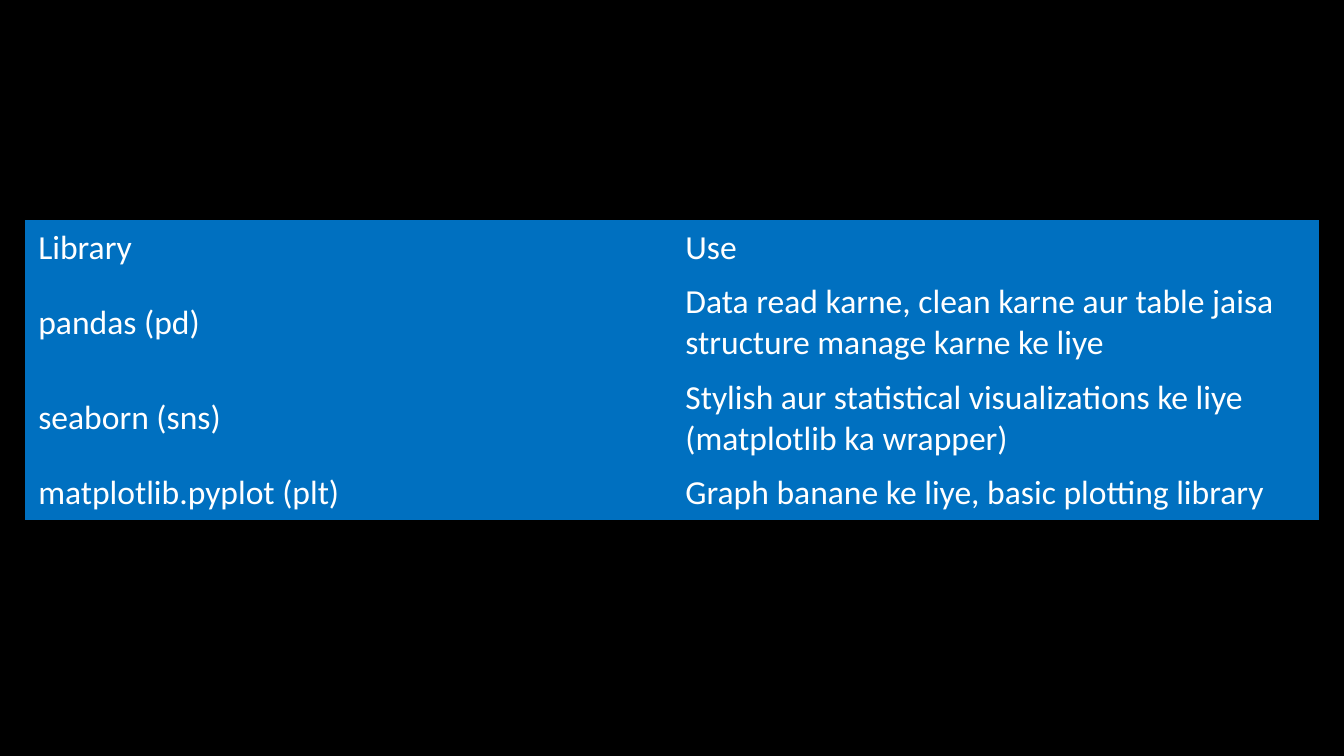
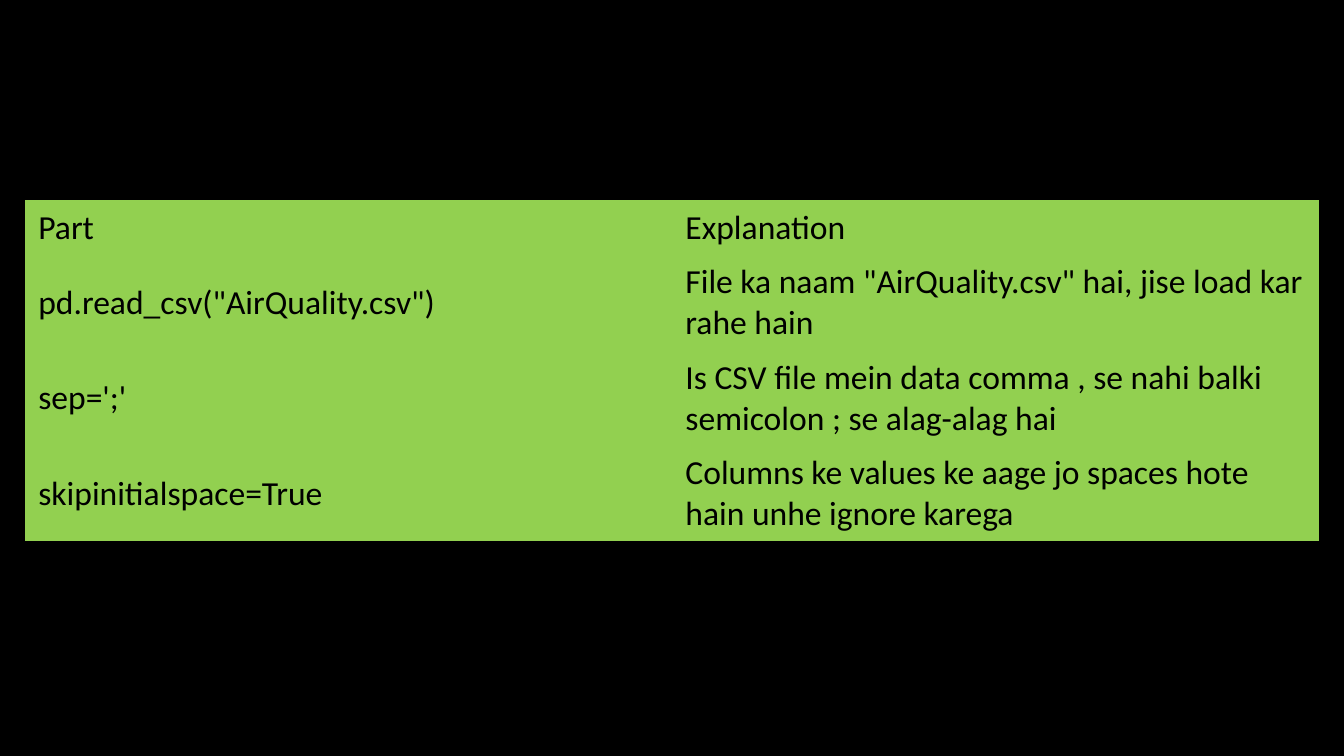
from dataclasses import dataclass

from pptx import Presentation
from pptx.dml.color import RGBColor as Color
from pptx.enum.text import MSO_ANCHOR as Anchor
from pptx.oxml.ns import qn
from pptx.util import Inches, Pt


@dataclass(frozen=True)
class Theme:
    font: str = "Calibri"
    body_size: int = 18
    black: str = "000000"
    white: str = "FFFFFF"
    blue: str = "0070C0"
    green: str = "92D050"
    plain_table: str = "{2D5ABB26-0587-4C30-8999-92F81FD0307C}"


class Deck:
    PAGE_WIDTH = 10
    TABLE_WIDTH = 9.63
    SINGLE_LINE = 0.4
    DOUBLE_LINE = 0.7
    LINE_LENGTH = 45

    def __init__(self, theme):
        self.theme = theme
        self.file = Presentation()
        self.file.slide_width = Inches(self.PAGE_WIDTH)
        self.file.slide_height = Inches(self.PAGE_WIDTH * 9 / 16)
        fill = self.file.slide_master.background.fill
        fill.solid()
        fill.fore_color.rgb = Color.from_string(theme.black)
        self.page = None

    def add_page(self):
        self.page = self.file.slides.add_slide(self.file.slide_layouts[6])

    def add_table(self, top, rows, fill, ink):
        left = (self.PAGE_WIDTH - self.TABLE_WIDTH) / 2
        frame = self.page.shapes.add_table(
            len(rows), len(rows[0]), Inches(left), Inches(top),
            Inches(self.TABLE_WIDTH), Inches(self.SINGLE_LINE * len(rows)))
        table = frame.table
        table.first_row = False
        table.horz_banding = False
        style = table._tbl.tblPr.find(qn("a:tableStyleId"))
        style.text = self.theme.plain_table
        for row, texts in zip(table.rows, rows):
            wraps = max(map(len, texts)) > self.LINE_LENGTH
            row.height = Inches(self.DOUBLE_LINE if wraps else self.SINGLE_LINE)
            for cell, text in zip(row.cells, texts):
                self.fill_cell(cell, text, fill, ink)

    def fill_cell(self, cell, text, fill, ink):
        cell.fill.solid()
        cell.fill.fore_color.rgb = Color.from_string(fill)
        cell.vertical_anchor = Anchor.MIDDLE
        cell.text_frame.text = text
        font = cell.text_frame.paragraphs[0].runs[0].font
        font.name = self.theme.font
        font.size = Pt(self.theme.body_size)
        font.color.rgb = Color.from_string(ink)


LIBRARIES = [
    ("Library", "Use"),
    ("pandas (pd)",
     "Data read karne, clean karne aur table jaisa structure manage karne ke liye"),
    ("seaborn (sns)",
     "Stylish aur statistical visualizations ke liye (matplotlib ka wrapper)"),
    ("matplotlib.pyplot (plt)", "Graph banane ke liye, basic plotting library"),
]

READ_CSV_PARTS = [
    ("Part", "Explanation"),
    ('pd.read_csv("AirQuality.csv")',
     'File ka naam "AirQuality.csv" hai, jise load kar rahe hain'),
    ("sep=';'",
     "Is CSV file mein data comma , se nahi balki semicolon ; se alag-alag hai"),
    ("skipinitialspace=True",
     "Columns ke values ke aage jo spaces hote hain unhe ignore karega"),
]


def main():
    theme = Theme()
    deck = Deck(theme)
    deck.add_page()
    deck.add_table(1.64, LIBRARIES, theme.blue, theme.white)
    deck.add_page()
    deck.add_table(1.49, READ_CSV_PARTS, theme.green, theme.black)
    deck.file.save("out.pptx")


if __name__ == "__main__":
    main()
